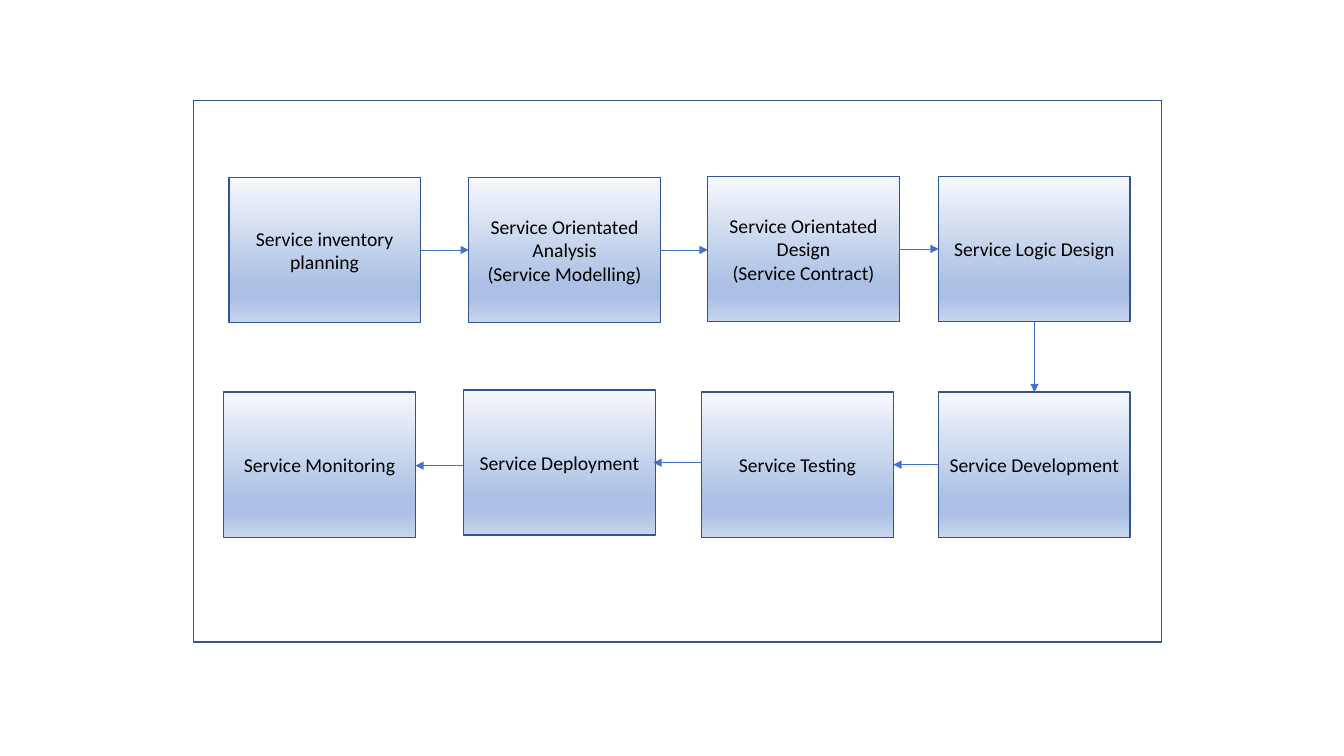
from dataclasses import dataclass

from lxml.etree import SubElement
from pptx import Presentation
from pptx.dml.color import RGBColor
from pptx.enum.shapes import MSO_CONNECTOR, MSO_SHAPE
from pptx.enum.text import MSO_ANCHOR, PP_ALIGN
from pptx.oxml.ns import qn
from pptx.util import Inches, Pt


@dataclass(frozen=True)
class Theme:
    """Colours, type and line sizes of the slide."""
    font: str = "Calibri"
    size: float = 14
    text: str = "000000"
    border: str = "325491"
    border_width: float = 1
    arrow: str = "4472C4"
    arrow_width: float = 0.5
    gradient: tuple = ((0, "F6F8FC"), (74, "ABC0E4"), (83, "ABC0E4"), (100, "C7D5ED"))


THEME = Theme()
STEP_W, STEP_H = 1.9, 1.44
STEPS = [
    ("Service inventory planning", 2.27, 1.76),
    ("Service Orientated Analysis\n(Service Modelling)", 4.65, 1.76),
    ("Service Orientated Design\n(Service Contract)", 7.02, 1.75),
    ("Service Logic Design", 9.31, 1.75),
    ("Service Development", 9.31, 3.89),
    ("Service Testing", 6.96, 3.89),
    ("Service Deployment", 4.6, 3.87),
    ("Service Monitoring", 2.22, 3.89),
]
ARROWS = [
    (4.18, 2.48, 4.65, 2.48),
    (6.55, 2.48, 7.02, 2.48),
    (8.92, 2.47, 9.31, 2.47),
    (10.26, 3.19, 10.26, 3.89),
    (9.31, 4.61, 8.86, 4.61),
    (6.95, 4.59, 6.48, 4.59),
    (4.59, 4.62, 4.12, 4.62),
]


def add_box(s, x, y, w, h):
    """Add an unfilled rectangle with the theme border."""
    sp = s.shapes.add_shape(MSO_SHAPE.RECTANGLE, *map(Inches, (x, y, w, h)))
    sp.shadow.inherit = False
    sp.fill.background()
    sp.line.color.rgb = RGBColor.from_string(THEME.border)
    sp.line.width = Pt(THEME.border_width)
    return sp


def fill_gradient(sp):
    """Fill a shape from top to bottom with the theme gradient."""
    sp.fill.gradient()
    grad = sp.fill._xPr.find(qn("a:gradFill"))
    for child in list(grad):
        grad.remove(child)
    stops = SubElement(grad, qn("a:gsLst"))
    for percent, color in THEME.gradient:
        stop = SubElement(stops, qn("a:gs"), pos=str(percent * 1000))
        SubElement(stop, qn("a:srgbClr"), val=color)
    SubElement(grad, qn("a:lin"), ang="5400000", scaled="1")


def add_step(s, text, x, y):
    """Add one process step with centred text."""
    sp = add_box(s, x, y, STEP_W, STEP_H)
    fill_gradient(sp)
    tf = sp.text_frame
    tf.text = text
    tf.word_wrap = True
    tf.vertical_anchor = MSO_ANCHOR.MIDDLE
    for p in tf.paragraphs:
        p.alignment = PP_ALIGN.CENTER
        for r in p.runs:
            r.font.name = THEME.font
            r.font.size = Pt(THEME.size)
            r.font.color.rgb = RGBColor.from_string(THEME.text)


def add_arrow(s, x1, y1, x2, y2):
    """Add a straight arrow pointing at its second end."""
    cn = s.shapes.add_connector(MSO_CONNECTOR.STRAIGHT, *map(Inches, (x1, y1, x2, y2)))
    cn.line.color.rgb = RGBColor.from_string(THEME.arrow)
    cn.line.width = Pt(THEME.arrow_width)
    SubElement(cn.line._get_or_add_ln(), qn("a:tailEnd"), type="triangle")
    SubElement(cn._element.spPr, qn("a:effectLst"))


def main():
    """Build the service lifecycle slide."""
    prs = Presentation()
    prs.slide_width, prs.slide_height = Inches(13.33), Inches(7.5)
    s = prs.slides.add_slide(prs.slide_layouts[6])
    add_box(s, 1.92, 1, 9.6, 5.37)
    for step in STEPS:
        add_step(s, *step)
    for arrow in ARROWS:
        add_arrow(s, *arrow)
    prs.save("out.pptx")


main()
